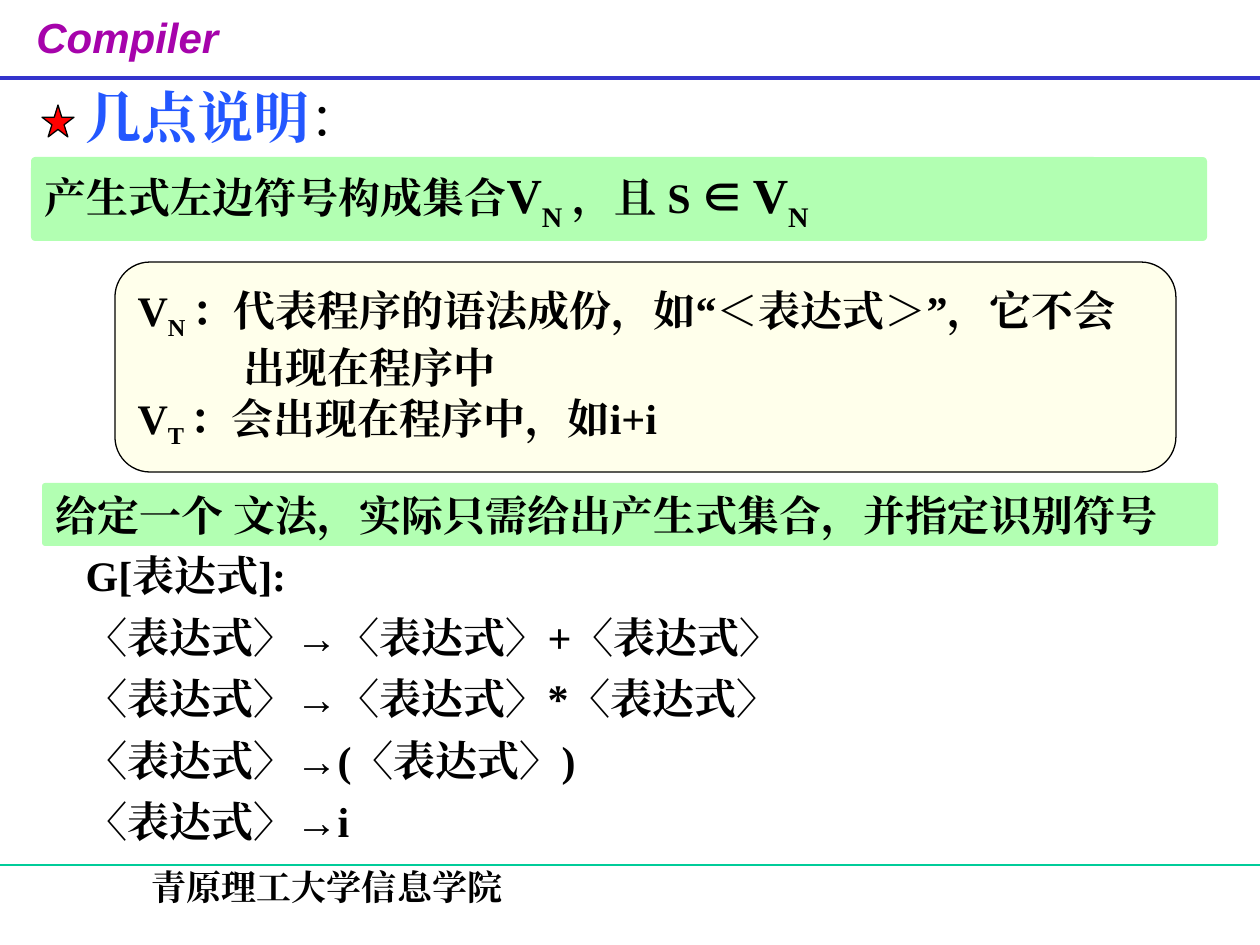
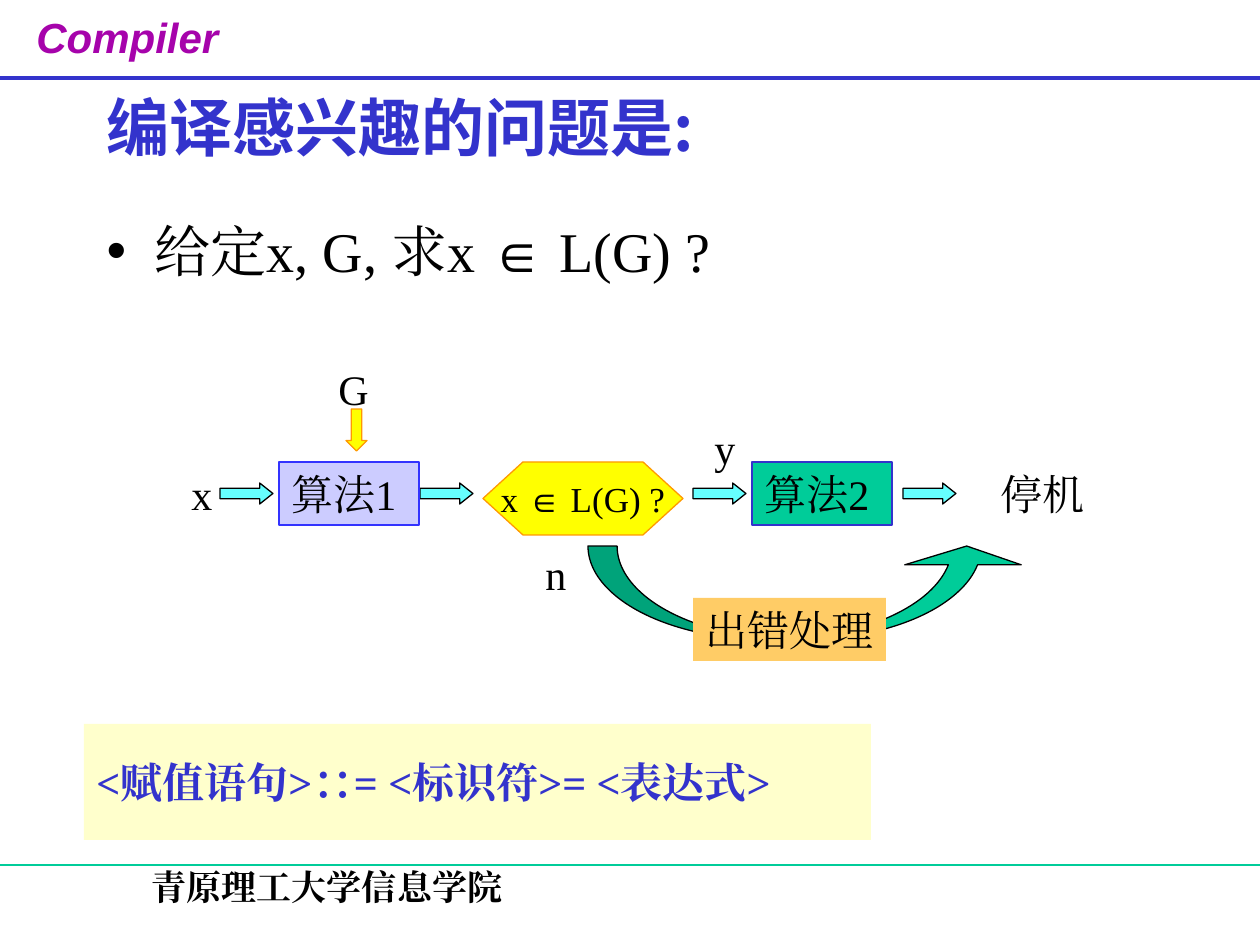
from lxml import etree
from pptx import Presentation
from pptx.dml.color import RGBColor
from pptx.enum.shapes import MSO_CONNECTOR, MSO_SHAPE
from pptx.enum.text import MSO_ANCHOR, MSO_AUTO_SIZE, PP_ALIGN
from pptx.oxml.ns import qn
from pptx.util import Pt

PX = 914400 / 126

STRAIGHT = MSO_CONNECTOR.STRAIGHT
RECTANGLE = MSO_SHAPE.RECTANGLE
ROUNDED = MSO_SHAPE.ROUNDED_RECTANGLE
ALTERNATE_PROCESS = MSO_SHAPE.FLOWCHART_ALTERNATE_PROCESS
PREPARATION = MSO_SHAPE.FLOWCHART_PREPARATION
RIGHT_ARROW = MSO_SHAPE.RIGHT_ARROW
DOWN_ARROW = MSO_SHAPE.DOWN_ARROW
CURVED_UP_ARROW = MSO_SHAPE.CURVED_UP_ARROW
STAR = MSO_SHAPE.STAR_5_POINT
TOP, MIDDLE = MSO_ANCHOR.TOP, MSO_ANCHOR.MIDDLE
NO_AUTOSIZE = MSO_AUTO_SIZE.NONE
LEFT, CENTER, JUSTIFY = PP_ALIGN.LEFT, PP_ALIGN.CENTER, PP_ALIGN.JUSTIFY

SERIF, SANS, CHINESE = "Times New Roman", "Arial", "Noto Sans CJK SC"

BLACK = RGBColor(0x00, 0x00, 0x00)
PURPLE = RGBColor(0xA6, 0x03, 0xAB)
NAVY = RGBColor(0x33, 0x33, 0xCC)
BLUE = RGBColor(0x23, 0x57, 0xFF)
BLUE_EDGE = RGBColor(0x33, 0x33, 0xFF)
TEAL = RGBColor(0x00, 0xCC, 0x99)
GREEN = RGBColor(0x66, 0xFF, 0x66)
RED = RGBColor(0xFF, 0x00, 0x00)
IVORY = RGBColor(0xFF, 0xFF, 0xEB)
LAVENDER = RGBColor(0xCC, 0xCC, 0xFF)
CYAN = RGBColor(0x66, 0xFF, 0xFF)
YELLOW = RGBColor(0xFF, 0xFF, 0x00)
ORANGE = RGBColor(0xFF, 0x99, 0x00)
APRICOT = RGBColor(0xFF, 0xCC, 0x66)
CREAM = RGBColor(0xFF, 0xFF, 0xCC)

PLAIN = {"name": SERIF, "size": 24, "bold": False, "italic": False, "color": BLACK}
BOLD = {**PLAIN, "bold": True}
HEADER = {**BOLD, "name": SANS, "italic": True, "color": PURPLE}
FOOTER = {**BOLD, "size": 20}
NOTE_TITLE = {**BOLD, "size": 32, "color": BLUE}
QUESTION_TITLE = {**BOLD, "name": CHINESE, "size": 36, "color": NAVY}
QUESTION = {**PLAIN, "size": 32}
DECISION = {**PLAIN, "size": 20}
RULE = {**BOLD, "color": NAVY}
LARGE = {"size": 28}
LARGE_SUB = {"size": 28, "baseline": -30}
SMALL_SUB = {"baseline": -25}


def px(length):
    return round(length * PX)


def place(shape, bounds):
    for name, value in zip(("left", "top", "width", "height"), bounds):
        setattr(shape, name, px(value))


def format_span(span, style):
    values = dict(style)
    color = values.pop("color")
    baseline = values.pop("baseline", 0)
    values["size"] = Pt(values["size"])
    for name, value in values.items():
        setattr(span.font, name, value)
    span.font.color.rgb = color
    properties = span.font._element
    properties.set("lang", "zh-CN")
    if baseline:
        properties.set("baseline", str(baseline * 1000))
    etree.SubElement(properties, qn("a:ea"), typeface=values["name"])


def format_para(para, layout):
    values = {"alignment": LEFT, "line_spacing": 1.0, "space_before": 0, **layout}
    indent, hanging = values.pop("indent", 0), values.pop("hanging", 0)
    bullet = values.pop("bullet", None)
    values["space_before"] = Pt(values["space_before"])
    for name, value in values.items():
        setattr(para, name, value)
    properties = para._p.get_or_add_pPr()
    properties.set("marL", str(px(indent)))
    properties.set("indent", str(-px(hanging)))
    if bullet:
        etree.SubElement(properties, qn("a:buChar"), char=bullet)
    else:
        etree.SubElement(properties, qn("a:buNone"))


def write(shape, paras, style, anchor=TOP, wrap=False, **layout):
    frame = shape.text_frame
    settings = {"word_wrap": wrap, "auto_size": NO_AUTOSIZE, "vertical_anchor": anchor}
    for name, value in settings.items():
        setattr(frame, name, value)
    for index, spans in enumerate(paras):
        para = frame.add_paragraph() if index else frame.paragraphs[0]
        format_para(para, layout)
        for text, changes in spans:
            span = para.add_run()
            span.text = text
            format_span(span, {**style, **changes})


def line_of(*texts):
    return [(text, {}) for text in texts]


def add_label(slide, bounds, text, style=PLAIN, **layout):
    label = slide.shapes.add_textbox(*map(px, bounds))
    write(label, [line_of(text)], style, **layout)


def add_box(slide, kind, bounds, fill, edge=None, adjustments=()):
    box = slide.shapes.add_shape(kind, *map(px, bounds))
    box.shadow.inherit = False
    box.fill.solid()
    box.fill.fore_color.rgb = fill
    if edge is None:
        box.line.fill.background()
    else:
        box.line.color.rgb = edge
        box.line.width = Pt(0.75)
    for index, value in enumerate(adjustments):
        box.adjustments[index] = value
    return box


def add_green_band(slide, bounds, spans):
    band = add_box(slide, ROUNDED, bounds, GREEN, adjustments=[0.05])
    color = band.fill._xPr.find(".//" + qn("a:srgbClr"))
    etree.SubElement(color, qn("a:alpha"), val="50000")
    write(band, [spans], BOLD, MIDDLE)


def add_text_box(slide, bounds, text, fill, edge=None):
    write(add_box(slide, RECTANGLE, bounds, fill, edge), [line_of(text)], PLAIN)


def add_rule_line(slide, y, color, width):
    rule = slide.shapes.add_connector(STRAIGHT, 0, px(y), px(1260), px(y))
    rule.line.color.rgb = color
    rule.line.width = Pt(width)
    etree.SubElement(rule._element.spPr, qn("a:effectLst"))


def add_slide(deck):
    slide = deck.slides.add_slide(deck.slide_layouts[1])
    add_label(slide, (24, 5, 241, 78), "Compiler", HEADER)
    add_rule_line(slide, 78, NAVY, 2.25)
    add_rule_line(slide, 865, TEAL, 0.75)
    add_label(slide, (66, 859, 522, 63), "青原理工大学信息学院", FOOTER,
              wrap=True, alignment=CENTER, space_before=12.5)
    return slide


def add_notes_on_grammar(deck):
    slide = add_slide(deck)
    title, body = slide.placeholders
    place(title, (73, 84, 325, 73))
    write(title, [[("几点说明", {}), ("：", {"color": BLACK, "bold": False})]],
          NOTE_TITLE, wrap=True, line_spacing=0.9, space_before=20)
    add_green_band(slide, (31, 157, 1176, 84), [
        ("产生式左边符号构成集合", {}), ("V", LARGE), ("N", LARGE_SUB),
        (" ，且 S ", {}), ("∈ ", {"name": CHINESE}), ("V", LARGE), ("N", LARGE_SUB)])
    add_green_band(slide, (42, 483, 1176, 63),
                   line_of("给定一个 文法，实际只需给出产生式集合，并指定识别符号"))

    place(body, (73, 557, 1008, 295))
    term = "〈表达式〉"
    products = [f"{term}+{term}", f"{term}*{term}", f"({term})", "i"]
    lines = ["G[表达式]:"] + [f"{term}→{product}" for product in products]
    write(body, [line_of(text) for text in lines], BOLD, wrap=True,
          alignment=JUSTIFY, line_spacing=0.7, space_before=15)

    add_box(slide, STAR, (42, 105, 32, 32), RED, BLACK)
    symbols = add_box(slide, ALTERNATE_PROCESS, (115, 262, 1061, 210), IVORY, BLACK)
    write(symbols, [
        [("V", {}), ("N ", SMALL_SUB),
         ("：代表程序的语法成份，如“＜表达式＞”，它不会", {})],
        line_of("出现在程序中"),
        [("V", {}), ("T ", SMALL_SUB), ("：会出现在程序中，如i+i", {})],
    ], BOLD, MIDDLE)
    symbols.text_frame.paragraphs[1]._p.pPr.set("marL", str(px(106)))


def add_compiling_question(deck):
    slide = add_slide(deck)
    title, body = slide.placeholders
    membership = [(" L(G) ?", {})]
    place(title, (94, 63, 693, 126))
    write(title, [line_of("编译感兴趣的问题是:")], QUESTION_TITLE, MIDDLE, wrap=True)
    place(body, (94, 210, 1071, 116))
    write(body, [[("给定x, G, 求x ", {}), ("∈", {"name": SANS})] + membership],
          QUESTION, wrap=True, indent=48, hanging=48, bullet="•", space_before=8)

    add_box(slide, CURVED_UP_ARROW, (588, 546, 437, 94), TEAL, BLACK, [0.31, 1.24, 0.2])
    for x in (220, 420, 693, 903):
        add_box(slide, RIGHT_ARROW, (x, 483, 53, 21), CYAN, BLACK, [0.5, 0.63])
    add_box(slide, DOWN_ARROW, (346, 409, 21, 42), YELLOW, ORANGE, [0.5, 0.5])

    add_text_box(slide, (279, 462, 140, 63), "算法1", LAVENDER, BLUE_EDGE)
    add_text_box(slide, (752, 462, 140, 63), "算法2", TEAL, NAVY)
    add_text_box(slide, (693, 598, 193, 63), "出错处理", APRICOT)
    decision = add_box(slide, PREPARATION, (483, 462, 200, 73), YELLOW, ORANGE)
    write(decision, [[("x ", {}), ("∈", {"name": SANS})] + membership],
          DECISION, MIDDLE, alignment=CENTER)

    labels = [("x", 179, 462, 45), ("G", 326, 357, 55), ("y", 702, 416, 45),
              ("n", 533, 542, 45), ("停机", 988, 462, 108)]
    for text, x, y, width in labels:
        add_label(slide, (x, y, width, 63), text)

    assignment = add_box(slide, RECTANGLE, (84, 724, 787, 116), CREAM)
    write(assignment, [line_of("<赋值语句>∷= <标识符>= <表达式>")], RULE, MIDDLE)


def main():
    deck = Presentation()
    deck.slide_width, deck.slide_height = px(1260), px(945)
    add_notes_on_grammar(deck)
    add_compiling_question(deck)
    deck.save("out.pptx")


if __name__ == "__main__":
    main()
